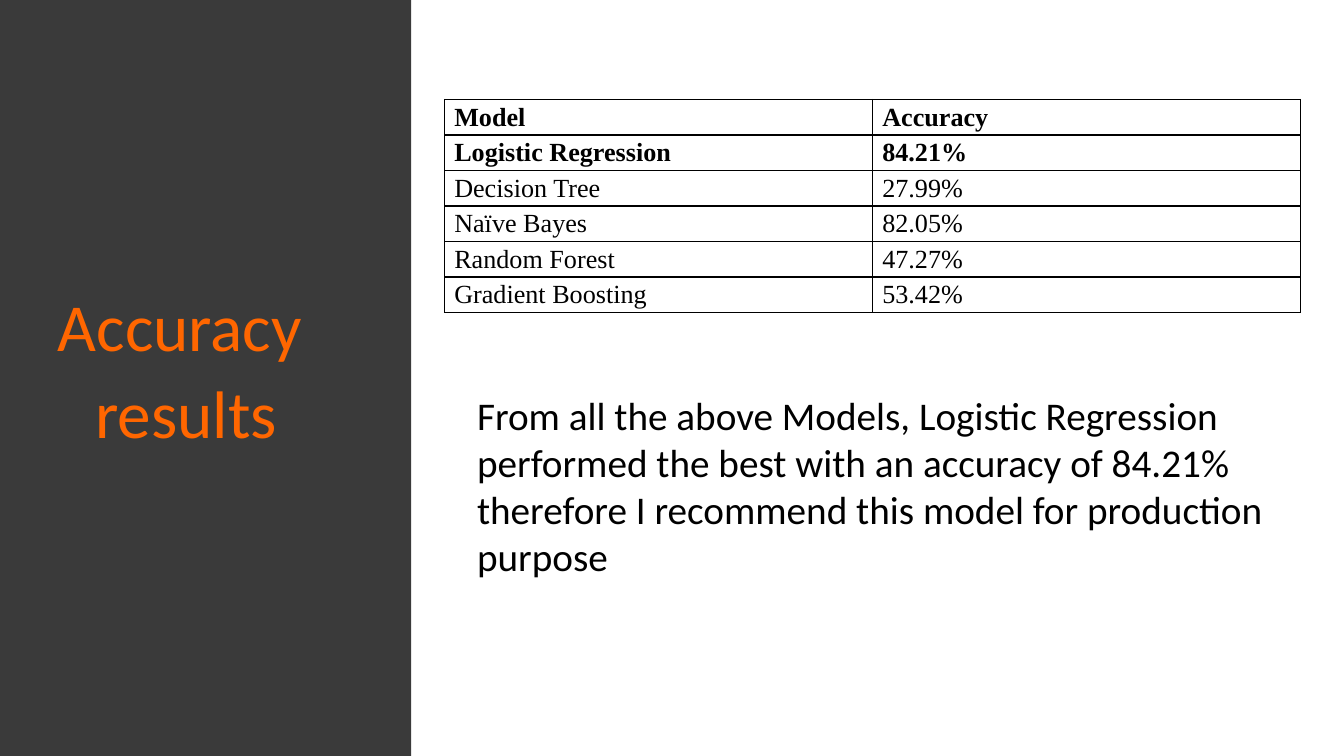
"""Build the accuracy results slide."""
from lxml.etree import SubElement
from pptx import Presentation
from pptx.dml.color import RGBColor
from pptx.enum.shapes import MSO_SHAPE
from pptx.enum.text import MSO_ANCHOR, MSO_AUTO_SIZE, PP_ALIGN
from pptx.oxml.ns import qn
from pptx.util import Inches, Pt

COLORS = {"panel": "3A3A3A", "title": "FF6600", "text": "000000", "paper": "FFFFFF"}
TITLE = "Accuracy results"
RESULTS = [
    ("Model", "Accuracy"),
    ("Logistic Regression", "84.21%"),
    ("Decision Tree", "27.99%"),
    ("Naïve Bayes", "82.05%"),
    ("Random Forest", "47.27%"),
    ("Gradient Boosting", "53.42%"),
]
BOLD_ROWS = 2
CONCLUSION = (
    "From all the above Models, Logistic Regression performed the best with an "
    "accuracy of 84.21% therefore I recommend this model for production purpose"
)


def color(name):
    return RGBColor.from_string(COLORS[name])


def write(frame, text, size, font="Calibri", ink="text", bold=False,
          margin=0, indent=0, spacing=1.0):
    paragraph = frame.paragraphs[0]
    paragraph.alignment = PP_ALIGN.LEFT
    paragraph.line_spacing = spacing
    properties = paragraph._p.get_or_add_pPr()
    properties.set("marL", str(Inches(margin)))
    properties.set("indent", str(Inches(indent)))
    run = paragraph.add_run()
    run.text = text
    run.font.size = Pt(size)
    run.font.name = font
    run.font.bold = bold
    run.font.color.rgb = color(ink)


def set_insets(holder, top=0):
    holder.margin_left = holder.margin_right = holder.margin_bottom = 0
    holder.margin_top = Inches(top)
    holder.vertical_anchor = MSO_ANCHOR.TOP


def fit(frame, top):
    set_insets(frame, top)
    frame.word_wrap = True
    frame.auto_size = MSO_AUTO_SIZE.SHAPE_TO_FIT_TEXT


def outline(cell):
    properties = cell._tc.get_or_add_tcPr()
    for side in ("a:lnL", "a:lnR", "a:lnT", "a:lnB"):
        border = SubElement(properties, qn(side), w=str(Pt(0.75)))
        fill = SubElement(border, qn("a:solidFill"))
        SubElement(fill, qn("a:srgbClr"), val=COLORS["text"])


def main():
    deck = Presentation()
    deck.slide_width = Inches(10)
    deck.slide_height = deck.slide_width * 9 // 16
    slide = deck.slides.add_slide(deck.slide_layouts[5])

    title = slide.shapes.title
    title.left, title.top = Inches(0.42), Inches(1.97)
    title.width, title.height = Inches(2.23), Inches(1.36)
    fit(title.text_frame, 0.1)
    write(title.text_frame, TITLE, 36, ink="title", margin=0.29, indent=-0.28, spacing=1.08)

    panel = slide.shapes.add_shape(MSO_SHAPE.RECTANGLE, 0, 0, Inches(3.06), deck.slide_height)
    panel.shadow.inherit = False
    panel.fill.solid()
    panel.fill.fore_color.rgb = color("panel")
    panel.line.fill.background()
    title.element.addprevious(panel.element)

    results = slide.shapes.add_table(
        len(RESULTS), len(RESULTS[0]), Inches(3.31), Inches(0.74), Inches(6.37), Inches(1.41)
    ).table
    results.first_row = results.horz_banding = False
    for row, values in enumerate(RESULTS):
        for column, value in enumerate(values):
            cell = results.cell(row, column)
            set_insets(cell)
            outline(cell)
            cell.fill.solid()
            cell.fill.fore_color.rgb = color("paper")
            write(cell.text_frame, value, 14, font="Times New Roman",
                  bold=row < BOLD_ROWS, margin=0.07, spacing=1.13)

    conclusion = slide.shapes.add_textbox(Inches(3.54), Inches(2.9), Inches(5.87), Inches(1.42))
    fit(conclusion.text_frame, 0.01)
    write(conclusion.text_frame, CONCLUSION, 21, margin=0.01)

    deck.save("out.pptx")


if __name__ == "__main__":
    main()
